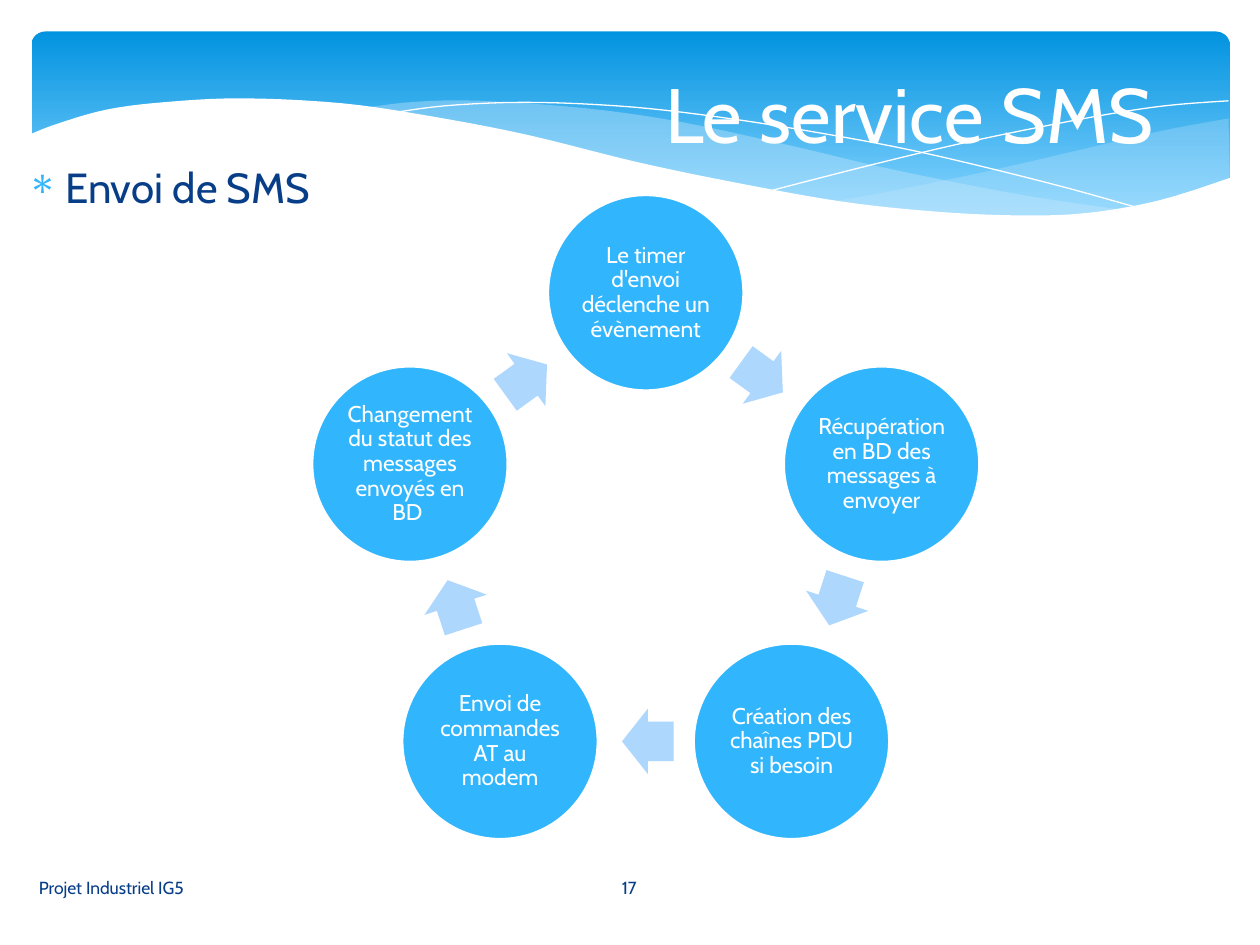
from math import cos, radians, sin

from lxml.etree import SubElement
from pptx import Presentation
from pptx.dml.color import RGBColor
from pptx.enum.shapes import MSO_SHAPE as SHAPE
from pptx.enum.text import MSO_ANCHOR as ANCHOR, MSO_AUTO_SIZE as AUTOSIZE, PP_ALIGN as ALIGN
from pptx.oxml.ns import qn
from pptx.util import Pt

# Content
TITLE = "Le service SMS"
BULLET = "Envoi de SMS"
FOOTER = "Projet Industriel IG5"
PAGE = "17"
STEPS = [
    "Le timer d'envoi déclenche un évènement",
    "Récupération en BD des messages à envoyer",
    "Création des chaînes PDU si besoin",
    "Envoi de commandes AT au modem",
    "Changement du statut des messages envoyés en BD ",
]

FONT = "Cabin"
COLORS = {
    "band_top": "0293E0", "band_bottom": "83D3FE", "wave": "C6E7FC",
    "white": "FFFFFF", "navy": "073E87", "step": "31B6FD", "arrow": "AED7FE",
}

# Cycle geometry
CENTER_X, CENTER_Y = 369, 309
RADIUS, STEP_SIZE = 141.7, 111.6
ARROW_W, ARROW_H = 29.5, 37.4
ARROW_LAG = 0.6  # degrees before the midpoint between two steps

# Header waves: each edge is a list of knots, joined by a smooth curve
RIGHT_WAVE = [
    [(702, 67.7), (663.1, 74.9), (619.9, 85), (560.9, 98.6), (508.3, 109.4), (475.9, 115.2)],
    [(475.9, 115.2), (517.7, 120.2), (562.3, 123.8), (607.7, 123.1), (651.6, 117.4),
     (683.3, 109.4), (702.7, 101.5)],
]
MIDDLE_WAVE = [
    [(643, 120.2), (581, 110.9), (508.3, 96.5), (452.9, 83.5), (389.5, 69.8),
     (334.8, 61.9), (273.6, 57.6), (236.2, 58.3), (205.9, 61.9)],
    [(205.9, 61.9), (260.6, 69.8), (323.3, 83.5), (381.6, 97.2), (432.7, 108),
     (489.6, 117.4), (538.6, 122.4), (589, 124.6), (617, 123.1), (643, 120.2)],
]
FALLING_LINE = [
    [(222.5, 64.8), (254.2, 60.5), (299.5, 58.5), (352.1, 60.5), (400.3, 65.5),
     (457.9, 74.2), (523.4, 86.4), (598.3, 104.4), (653, 119.5)],
]
RISING_LINE = [
    [(441.4, 108.7), (500.4, 93.6), (558.7, 79.9), (623.5, 67), (665.3, 60.5), (702, 57.6)],
]
WHITE_WAVE = [
    [(703.4, 101.5), (662.4, 114.5), (621.4, 121.7), (582.5, 123.1), (535.7, 121),
     (481, 115.2), (416.9, 103.7), (362.2, 92.2), (301, 77), (244.8, 66.2), (195.1, 59),
     (139, 56.2), (95, 58.3), (61.2, 62.6), (33.1, 70.6), (16.6, 77)],
    [(16.6, 161.3), (703.4, 161.3)],
]
# edges, fill colour (None for a line), opacity in percent
WAVES = [
    (RIGHT_WAVE, "wave", 29),
    (MIDDLE_WAVE, "wave", 40),
    (FALLING_LINE, None, 100),
    (RISING_LINE, None, 100),
    (WHITE_WAVE, "white", 100),
]


def rgb(name):
    return RGBColor.from_string(COLORS[name])


def smooth(knots, parts=5):
    """Points of a Catmull-Rom curve through the knots."""
    if len(knots) == 2:
        return knots
    ext = [knots[0], *knots, knots[-1]]
    points = [knots[0]]
    for quad in zip(ext, ext[1:], ext[2:], ext[3:]):
        for i in range(1, parts + 1):
            t = i / parts
            points.append(tuple(
                (2 * b + (c - a) * t + (2 * a - 5 * b + 4 * c - d) * t ** 2
                 + (3 * b - a - 3 * c + d) * t ** 3) / 2
                for a, b, c, d in zip(*quad)))
    return points


def add_wave(shapes, edges, fill, opacity):
    points = [(Pt(x), Pt(y)) for edge in edges for x, y in smooth(edge)]
    builder = shapes.build_freeform(*points[0])
    builder.add_line_segments(points[1:], close=fill is not None)
    sp = builder.convert_to_shape()
    sp.shadow.inherit = False
    if fill is None:
        sp.fill.background()
        sp.line.color.rgb = rgb("white")
        sp.line.width = Pt(0)
        return
    paint(sp, fill)
    if opacity < 100:
        color = sp._element.spPr.find(qn("a:solidFill")).find(qn("a:srgbClr"))
        SubElement(color, qn("a:alpha"), val=str(opacity * 1000))


def paint(sp, fill):
    sp.shadow.inherit = False
    sp.fill.solid()
    sp.fill.fore_color.rgb = rgb(fill)
    sp.line.fill.background()


def write(sp, text, size, color, align=ALIGN.LEFT, anchor=ANCHOR.MIDDLE):
    tf = sp.text_frame
    tf.word_wrap = True
    tf.auto_size = AUTOSIZE.NONE
    tf.vertical_anchor = anchor
    p = tf.paragraphs[0]
    p.alignment = align
    r = p.add_run()
    r.text = text
    r.font.name = FONT
    r.font.size = Pt(size)
    r.font.color.rgb = rgb(color)
    return p


def add_on_cycle(shapes, kind, angle, radius, w, h):
    """Place a shape on the cycle, angle clockwise from the top."""
    x = CENTER_X + radius * sin(radians(angle))
    y = CENTER_Y - radius * cos(radians(angle))
    return shapes.add_shape(kind, Pt(x - w / 2), Pt(y - h / 2), Pt(w), Pt(h))


prs = Presentation()
prs.slide_width, prs.slide_height = Pt(720), Pt(540)
s = prs.slides.add_slide(prs.slide_layouts[5])
shapes = s.shapes
title = shapes.title

# Header band and waves
band = shapes.add_shape(SHAPE.ROUNDED_RECTANGLE, Pt(18), Pt(18), Pt(684.7), Pt(112.3))
band.adjustments[0] = 0.07
paint(band, "band_top")
band.fill.gradient()
band.fill.gradient_angle = 270
for stop, (color, position) in zip(band.fill.gradient_stops,
                                   [("band_top", 0), ("band_bottom", 0.9)]):
    stop.color.rgb = rgb(color)
    stop.position = position
for wave in WAVES:
    add_wave(shapes, *wave)

# Footer and page number
for text, x, w, align in [(FOOTER, 15.1, 298, ALIGN.LEFT), (PAGE, 313.9, 91.4, ALIGN.CENTER)]:
    write(shapes.add_textbox(Pt(x), Pt(492.5), Pt(w), Pt(28.8)), text, 10, "navy", align)

# Bulleted heading
body = shapes.add_textbox(Pt(8.6), Pt(88.6), Pt(583.2), Pt(271.4))
p = write(body, BULLET, 24, "navy", anchor=ANCHOR.TOP)
p.space_before = Pt(4.8)
pPr = p._p.get_or_add_pPr()
pPr.set("marL", str(Pt(21.6)))
pPr.set("indent", str(-Pt(21.6)))
SubElement(SubElement(pPr, qn("a:buClr")), qn("a:srgbClr"), val=COLORS["step"])
SubElement(pPr, qn("a:buChar"), char="∗")

# Title, in front of the waves
shapes._spTree.append(title._element)
title.left, title.top, title.width, title.height = Pt(195.8), Pt(15.1), Pt(648), Pt(98.6)
write(title, TITLE, 44, "white", ALIGN.CENTER)

# Cycle of steps, each followed by an arrow
turn = 360 / len(STEPS)
for i, text in enumerate(STEPS):
    step = add_on_cycle(shapes, SHAPE.OVAL, i * turn, RADIUS, STEP_SIZE, STEP_SIZE)
    paint(step, "step")
    step.line.color.rgb = rgb("white")
    step.line.width = Pt(1.25)
    tf = step.text_frame
    tf.margin_left = tf.margin_right = tf.margin_top = tf.margin_bottom = Pt(1.3)
    write(step, text, 13, "white", ALIGN.CENTER).line_spacing = 0.9

    heading = (i + 0.5) * turn
    arrow = add_on_cycle(shapes, SHAPE.RIGHT_ARROW, heading - ARROW_LAG,
                         RADIUS * cos(radians(turn / 2)), ARROW_W, ARROW_H)
    arrow.adjustments[0], arrow.adjustments[1] = 0.6, 0.5
    arrow.rotation = heading
    paint(arrow, "arrow")

prs.save("out.pptx")
